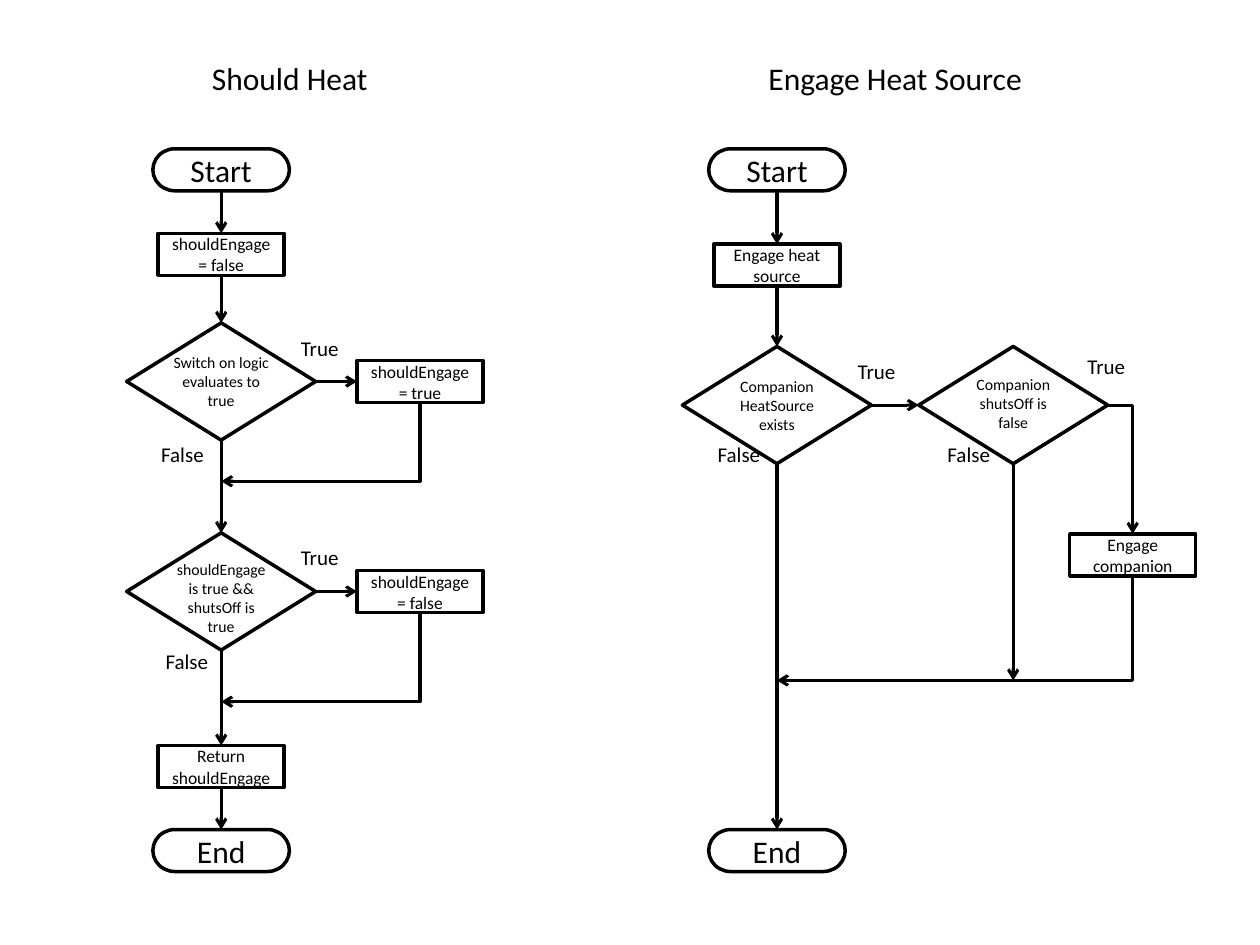
from lxml.etree import SubElement
from pptx import Presentation
from pptx.dml.color import RGBColor
from pptx.enum.shapes import MSO_CONNECTOR, MSO_SHAPE
from pptx.enum.text import MSO_ANCHOR, MSO_AUTO_SIZE, PP_ALIGN
from pptx.oxml.ns import qn
from pptx.util import Pt

THEME = {
    "font": "Calibri", "ink": RGBColor(0, 0, 0),
    "title": 18, "terminator": 18, "process": 10, "decision": 9, "branch": 12,
    "outline": 2, "arrow": 1.75,
}
KINDS = {
    "terminator": (MSO_SHAPE.FLOWCHART_TERMINATOR, 78, 24),
    "process": (MSO_SHAPE.FLOWCHART_PROCESS, 72, 24),
    "decision": (MSO_SHAPE.FLOWCHART_DECISION, 108, 67),
}
TOP, LEFT, BOTTOM, RIGHT = range(4)
HEAT, SIDE, ENGAGE, SHUTOFF, COMPANION = 126.4, 240, 444, 579, 647.3
MERGE = 388.8

TITLES = [("Should Heat", 114, 30, 120), ("Engage Heat Source", 432, 30, 198)]
NODES = {
    "heat start": ("terminator", HEAT, 97, "Start"),
    "reset": ("process", HEAT, 145.3, "shouldEngage = false"),
    "switch on": ("decision", HEAT, 218, ""),
    "set true": ("process", SIDE, 218, "shouldEngage = true"),
    "shuts off": ("decision", HEAT, 338, ""),
    "set false": ("process", SIDE, 338, "shouldEngage = false"),
    "return": ("process", HEAT, 438, "Return shouldEngage"),
    "heat end": ("terminator", HEAT, 486, "End"),
    "engage start": ("terminator", ENGAGE, 97, "Start"),
    "engage": ("process", ENGAGE, 151.5, "Engage heat source"),
    "has companion": ("decision", ENGAGE, 231.5, ""),
    "stays on": ("decision", SHUTOFF, 231.5, ""),
    "engage companion": ("process", COMPANION, 317, "Engage companion"),
    "engage end": ("terminator", ENGAGE, 486, "End"),
}
QUESTIONS = [
    ("Switch on logic evaluates to true", HEAT, 198, 40),
    ("shouldEngage is true && shutsOff is true", HEAT, 316.2, 51),
    ("Companion HeatSource exists", ENGAGE, 211.8, 40),
    ("Companion shutsOff is false", SHUTOFF, 210.4, 40),
]
BRANCHES = [
    ("True", 164.8, 188), ("False", 85, 249), ("True", 164.8, 307.5), ("False", 87.5, 367),
    ("True", 483, 201.5), ("False", 403, 249), ("True", 614.3, 198.7), ("False", 534.3, 249),
]
DOWNWARD = [
    ("heat start", "reset"), ("reset", "switch on"), ("switch on", "shuts off"),
    ("shuts off", "return"), ("return", "heat end"),
    ("engage start", "engage"), ("engage", "has companion"), ("has companion", "engage end"),
]
ACROSS = [
    ("switch on", "set true"), ("shuts off", "set false"), ("has companion", "stays on"),
]
RETURNS = [
    ("set true", HEAT, 275), ("set false", HEAT, 401), ("engage companion", ENGAGE, MERGE),
]


def write(shape, text, size, alignment):
    frame = shape.text_frame
    frame.word_wrap = True
    frame.text = text
    paragraph = frame.paragraphs[0]
    paragraph.alignment = alignment
    for run in paragraph.runs:
        run.font.name = THEME["font"]
        run.font.size = Pt(size)
        run.font.color.rgb = THEME["ink"]


def add_label(slide, text, left, top, width, height, size, alignment=PP_ALIGN.LEFT):
    box = slide.shapes.add_textbox(Pt(left), Pt(top), Pt(width), Pt(height))
    write(box, text, size, alignment)
    box.text_frame.auto_size = MSO_AUTO_SIZE.SHAPE_TO_FIT_TEXT


def add_node(slide, kind, center_x, center_y, text):
    preset, width, height = KINDS[kind]
    shape = slide.shapes.add_shape(
        preset, Pt(center_x - width / 2), Pt(center_y - height / 2), Pt(width), Pt(height))
    shape.shadow.inherit = False
    shape.fill.background()
    shape.line.color.rgb = THEME["ink"]
    shape.line.width = Pt(THEME["outline"])
    if text:
        write(shape, text, THEME[kind], PP_ALIGN.CENTER)
        shape.text_frame.vertical_anchor = MSO_ANCHOR.MIDDLE
    return shape


def add_arrow(slide, kind, *ends):
    connector = slide.shapes.add_connector(kind, *(Pt(end) for end in ends))
    connector.line.color.rgb = THEME["ink"]
    connector.line.width = Pt(THEME["arrow"])
    SubElement(connector.line._get_or_add_ln(), qn("a:tailEnd"), type="arrow")
    SubElement(connector._element.spPr, qn("a:effectLst"))
    return connector


def join(slide, begin, begin_side, end, end_side):
    arrow = add_arrow(slide, MSO_CONNECTOR.STRAIGHT, 0, 0, 0, 0)
    arrow.begin_connect(begin, begin_side)
    arrow.end_connect(end, end_side)


def add_elbow(slide, left, top, width, height, turned=False):
    if turned:
        left, top = left + (width - height) / 2, top + (height - width) / 2
        width, height = height, width
    elbow = add_arrow(slide, MSO_CONNECTOR.ELBOW, left, top, left + width, top + height)
    properties = elbow._element.spPr
    properties.find(qn("a:prstGeom")).set("prst", "bentConnector2")
    if turned:
        properties.find(qn("a:xfrm")).set("rot", str(90 * 60000))


def main():
    presentation = Presentation()
    presentation.slide_width, presentation.slide_height = Pt(720), Pt(540)
    slide = presentation.slides.add_slide(presentation.slide_layouts[6])

    shapes = {name: add_node(slide, *node) for name, node in NODES.items()}
    for text, left, top, width in TITLES:
        add_label(slide, text, left, top, width, 29, THEME["title"])
    for text, center_x, top, height in QUESTIONS:
        add_label(slide, text, center_x - 34.5, top, 69, height,
                  THEME["decision"], PP_ALIGN.CENTER)
    for text, left, top in BRANCHES:
        add_label(slide, text, left, top, 43, 22, THEME["branch"])

    for begin, end in DOWNWARD:
        join(slide, shapes[begin], BOTTOM, shapes[end], TOP)
    for begin, end in ACROSS:
        join(slide, shapes[begin], RIGHT, shapes[end], LEFT)
    for name, target_x, target_y in RETURNS:
        kind, center_x, center_y, _ = NODES[name]
        bottom = center_y + KINDS[kind][2] / 2
        add_elbow(slide, target_x, bottom, center_x - target_x, target_y - bottom, turned=True)

    _, decision_width, decision_height = KINDS["decision"]
    _, center_x, center_y, _ = NODES["stays on"]
    companion_top = NODES["engage companion"][2] - KINDS["process"][2] / 2
    right = center_x + decision_width / 2
    add_elbow(slide, right, center_y, COMPANION - right, companion_top - center_y)
    skip = add_arrow(slide, MSO_CONNECTOR.STRAIGHT, center_x,
                     center_y + decision_height / 2, center_x, MERGE)
    skip.begin_connect(shapes["stays on"], BOTTOM)

    presentation.save("out.pptx")


if __name__ == "__main__":
    main()
